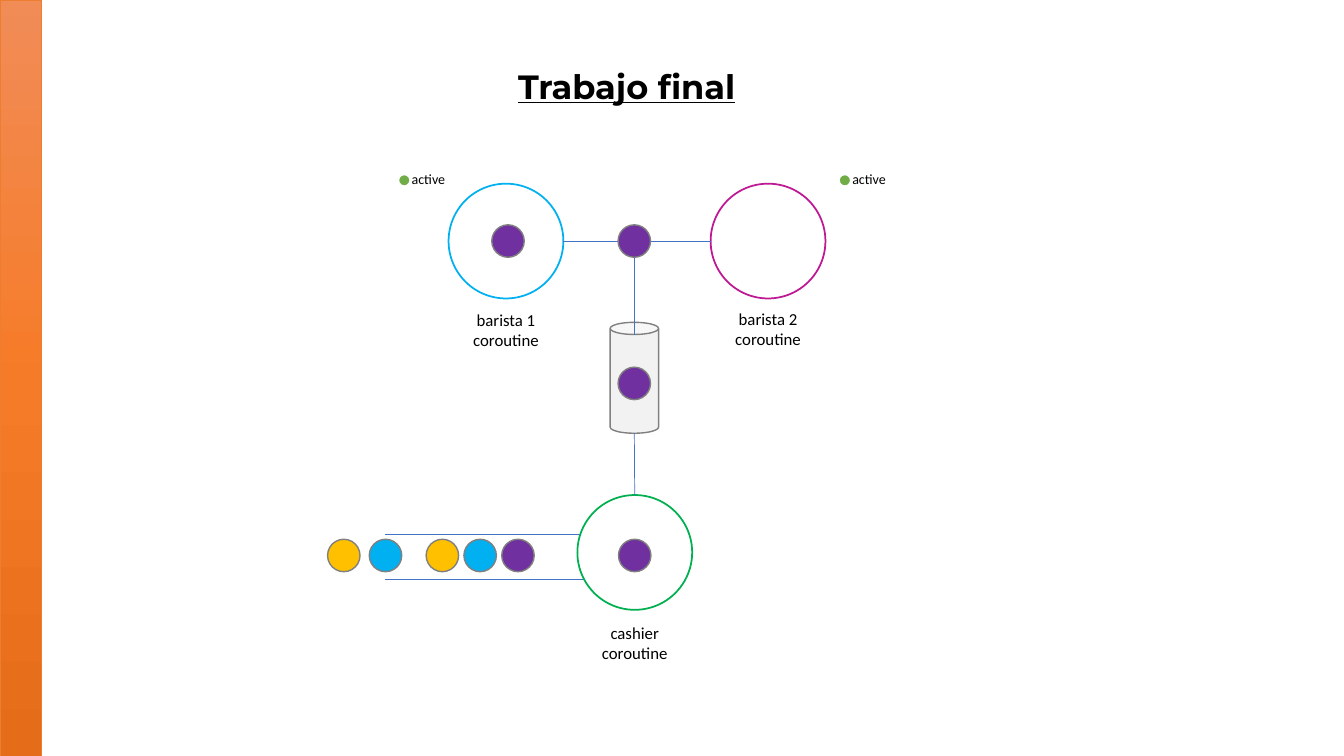
"""Builds the coffee-shop coroutine diagram slide."""
from copy import deepcopy

from lxml import etree
from pptx import Presentation
from pptx import util as u
from pptx.dml.color import RGBColor
from pptx.enum import shapes, text

COLORS = {
    "white": "FFFFFF", "black": "000000", "outline": "808080", "can": "F2F2F2",
    "link": "4472C4", "green": "00B050", "blue": "00B0F0", "magenta": "BE1893",
    "yellow": "FFC000", "purple": "7030A0", "active": "70AD47",
    "band_top": "F18C57", "band_middle": "F67B28", "band_bottom": "E56C19",
    "band_line": "ED7D31",
}
KIND = shapes.MSO_SHAPE
WORKER = 82
ORDER = 23.2


def color(name):
    """Return the named colour."""
    return RGBColor.from_string(COLORS[name])


def add_outlined(parent, kind, box, fill, line, width):
    """Add a preset shape in a (left, top, width, height) box."""
    shape = parent.add_shape(kind, *map(u.Pt, box))
    shape.shadow.inherit = False
    if fill:
        shape.fill.solid()
        shape.fill.fore_color.rgb = color(fill)
    shape.line.color.rgb = color(line)
    shape.line.width = u.Pt(width)
    return shape


def add_circle(parent, center, size, fill, line="outline", width=1):
    """Add a circle around a center point."""
    x, y = center
    box = (x - size / 2, y - size / 2, size, size)
    return add_outlined(parent, KIND.OVAL, box, fill, line, width)


def add_link(parent, start, end):
    """Add a thin straight line between two points."""
    link = parent.add_connector(shapes.MSO_CONNECTOR.STRAIGHT, *map(u.Pt, start + end))
    link.line.color.rgb = color("link")
    link.line.width = u.Pt(0.5)
    etree.SubElement(link._element.spPr, "{http://schemas.openxmlformats.org/drawingml/2006/main}effectLst")
    return link


def add_label(parent, box, lines, size, font="Calibri", align=text.PP_ALIGN.LEFT, wrap=False):
    """Add a text box with one paragraph per line."""
    label = parent.add_textbox(*map(u.Pt, box))
    frame = label.text_frame
    frame.word_wrap = wrap
    frame.auto_size = text.MSO_AUTO_SIZE.SHAPE_TO_FIT_TEXT
    frame.text = "\n".join(lines)
    for para in frame.paragraphs:
        para.alignment = align
        para.font.name = font
        para.font.size = u.Pt(size)
        para.font.color.rgb = color("black")
    return label


def add_side_band(parent, box):
    """Add the gradient band along the slide edge."""
    band = add_outlined(parent, KIND.RECTANGLE, box, None, "band_line", 0.5)
    band.fill.gradient()
    band.fill.gradient_angle = 270
    stop_list = band._element.spPr.xpath("./a:gradFill/a:gsLst")[0]
    stop_list.append(deepcopy(stop_list[-1]))
    names = ("band_top", "band_middle", "band_bottom")
    for index, (stop, name) in enumerate(zip(band.fill.gradient_stops, names)):
        stop.position = index / 2
        stop.color.rgb = color(name)


def add_title(parent, box):
    """Add the underlined title."""
    title = add_label(parent, box, ["Trabajo final"], 24, "Montserrat")
    font = title.text_frame.paragraphs[0].font
    font.bold = True
    font.underline = True


def add_worker(parent, center, name, line, label_gap):
    """Add a coroutine circle with its caption below."""
    x, y = center
    circle = add_circle(parent, center, WORKER, "white", line, 1.25)
    caption = (x - 31, y + WORKER / 2 + label_gap, 62, 36)
    add_label(parent, caption, [name, "coroutine"], 12, align=text.PP_ALIGN.CENTER)
    return circle


def add_status(parent, left, top):
    """Add a grouped green dot with the word active."""
    group = parent.add_group_shape().shapes
    add_circle(group, (left + 4.4, top + 10.6), 8.8, "active", "white", 1.5)
    add_label(group, (left + 2.6, top, 42.4, 19.4), ["active"], 10, wrap=True)


def add_baristas(parent, box):
    """Add both baristas, the line joining them and their statuses."""
    left, top, width, height = box
    middle = top + height / 2
    first, second = left + WORKER / 2, left + width - WORKER / 2
    add_worker(parent, (first, middle), "barista 1", "blue", 4.4)
    add_worker(parent, (second, middle), "barista 2", "magenta", 3.7)
    add_link(parent, (left + WORKER, middle), (left + width - WORKER, middle))
    add_status(parent, left - 36, top - 13)
    add_status(parent, left + width + 9.5, top - 13)
    add_circle(parent, (first + 1.5, middle), ORDER, "purple")


def add_cashier(parent, box):
    """Add the queue lane, the cashier and the waiting orders."""
    left, top, width, height = box
    middle = top + height / 2
    center = left + width - WORKER / 2
    for lane in (middle - 13.2, middle + 19.2):
        add_link(parent, (left + 41, lane), (left + 189, lane))
    cashier = add_worker(parent, (center, middle), "cashier", "green", 5.8)
    queue = zip((11.6, 41.4, 82, 109, 136, width - WORKER / 2),
                ("yellow", "blue", "yellow", "blue", "purple", "purple"))
    for offset, fill in queue:
        add_circle(parent, (left + offset, middle + 2.2), ORDER, fill)
    return cashier


def add_channel(parent, box, junction, cashier):
    """Add the channel can, its links and the orders passing through."""
    left, top, width, height = box
    center = left + width / 2
    add_outlined(parent, KIND.CAN, box, "can", "outline", 1)
    add_link(parent, (center, junction), (center, top + 8.7))
    bottom_link = add_link(parent, (center, top + height), (center, top + height + 44))
    bottom_link.end_connect(cashier, 0)
    for y in (junction, top + height / 2 + 4):
        add_circle(parent, (center, y), ORDER, "purple")


def main():
    """Build and save the deck."""
    deck = Presentation()
    deck.slide_width, deck.slide_height = u.Pt(960), u.Pt(540)
    page = deck.slides.add_slide(deck.slide_layouts[6]).shapes
    add_side_band(page, (0, 0, 29.8, 540))
    add_title(page, (363, 43.2, 181.4, 36.4))
    add_baristas(page, (320.4, 131.2, 269.2, WORKER))
    cashier = add_cashier(page, (234, 353.6, 260.4, WORKER))
    add_channel(page, (435.8, 230.3, 34.6, 79.2), 172.2, cashier)
    deck.save("out.pptx")


if __name__ == "__main__":
    main()
